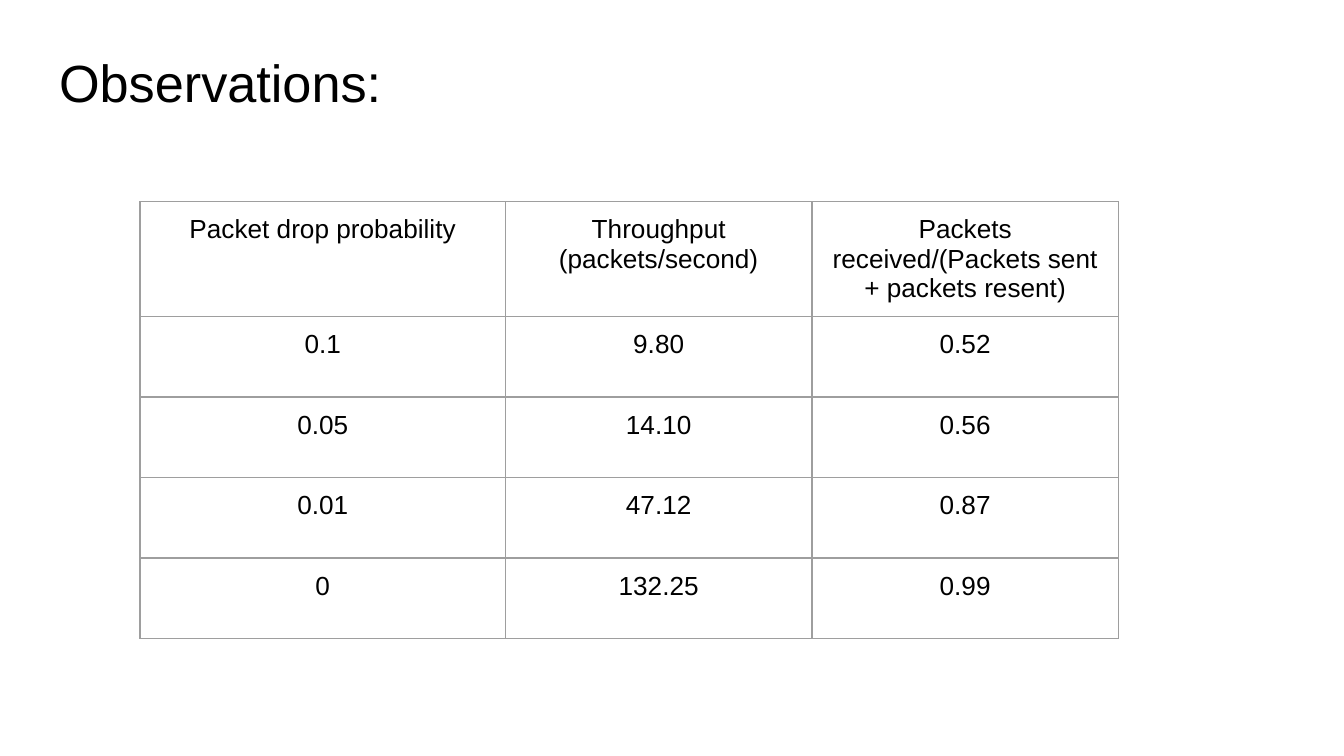
from lxml.etree import SubElement
from pptx import Presentation
from pptx.dml.color import RGBColor
from pptx.enum.text import MSO_ANCHOR as Anchor, PP_ALIGN as Align
from pptx.oxml.ns import qn
from pptx.util import Pt

BLACK = RGBColor(0x00, 0x00, 0x00)
WHITE = RGBColor(0xFF, 0xFF, 0xFF)
GRAY = RGBColor(0x9E, 0x9E, 0x9E)

COLUMN_WIDTHS = [195.8, 164.2, 164.2]
HEADER_HEIGHT, ROW_HEIGHT = 61.3, 43.1
OBSERVATIONS = [
    ["Packet drop probability", "Throughput (packets/second)",
     "Packets received/(Packets sent + packets resent)"],
    ["0.1", "9.80", "0.52"],
    ["0.05", "14.10", "0.56"],
    ["0.01", "47.12", "0.87"],
    ["0", "132.25", "0.99"],
]


class SlideBuilder:
    def __init__(self, slide, font="Arial", color=BLACK, inset=7.2):
        self.slide = slide
        self.font = font
        self.color = color
        self.inset = Pt(inset)
        slide.background.fill.solid()
        slide.background.fill.fore_color.rgb = WHITE

    def set_text(self, holder, text, size=14, align=Align.LEFT, anchor=Anchor.TOP):
        """Fill a shape or table cell with one formatted paragraph."""
        # Cells keep margins and anchor themselves; shapes keep them in the frame.
        frame = holder.text_frame
        box = frame if hasattr(holder, "shape_type") else holder
        box.margin_left = box.margin_right = self.inset
        box.margin_top = box.margin_bottom = self.inset
        box.vertical_anchor = anchor
        frame.word_wrap = True
        paragraph = frame.paragraphs[0]
        paragraph.alignment = align
        paragraph.line_spacing = 1.0
        run = paragraph.add_run()
        run.text = text
        run.font.name = self.font
        run.font.size = Pt(size)
        run.font.color.rgb = self.color

    def title(self, text, left, top, width, height):
        shape = self.slide.shapes.title
        shape.left, shape.top = Pt(left), Pt(top)
        shape.width, shape.height = Pt(width), Pt(height)
        self.set_text(shape, text, size=28)

    def border(self, cell, color=GRAY, width=0.75):
        properties = cell._tc.get_or_add_tcPr()
        for position, side in enumerate(("lnL", "lnR", "lnT", "lnB")):
            line = SubElement(properties, qn(f"a:{side}"), w=str(Pt(width)))
            fill = SubElement(line, qn("a:solidFill"))
            SubElement(fill, qn("a:srgbClr"), val=str(color))
            properties.insert(position, line)

    def table(self, rows, left, top, widths, heights):
        frame = self.slide.shapes.add_table(
            len(rows), len(widths), Pt(left), Pt(top),
            Pt(sum(widths)), Pt(sum(heights)))
        table = frame.table
        table.horz_banding = False
        table.first_row = False
        for column, width in zip(table.columns, widths):
            column.width = Pt(width)
        for row, height, texts in zip(table.rows, heights, rows):
            row.height = Pt(height)
            for cell, text in zip(row.cells, texts):
                cell.fill.background()
                self.border(cell)
                self.set_text(cell, text, align=Align.CENTER)


def main():
    presentation = Presentation()
    presentation.slide_width, presentation.slide_height = Pt(720), Pt(405)
    title_only = presentation.slide_layouts[5]
    builder = SlideBuilder(presentation.slides.add_slide(title_only))
    builder.title("Observations:", 24.5, 19.5, 671, 45)
    heights = [HEADER_HEIGHT] + [ROW_HEIGHT] * (len(OBSERVATIONS) - 1)
    builder.table(OBSERVATIONS, 75, 108, COLUMN_WIDTHS, heights)
    presentation.save("out.pptx")


if __name__ == "__main__":
    main()
